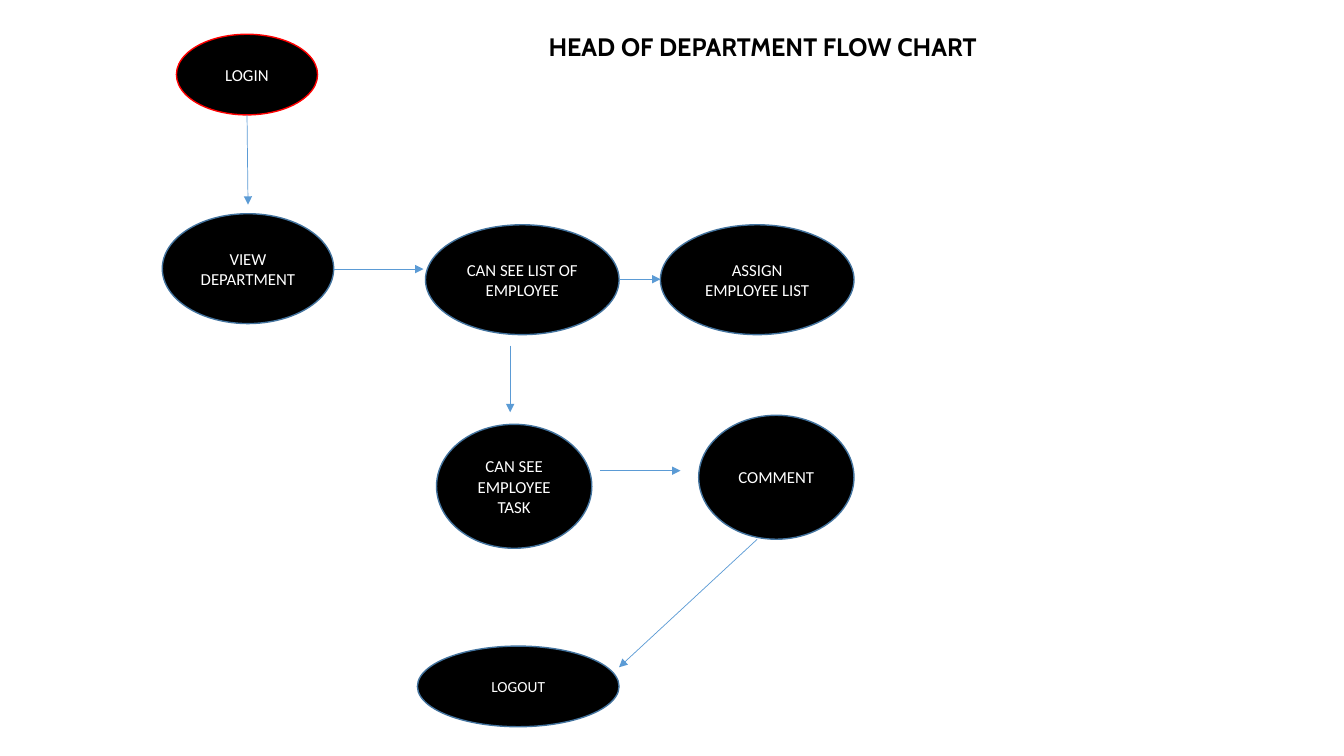
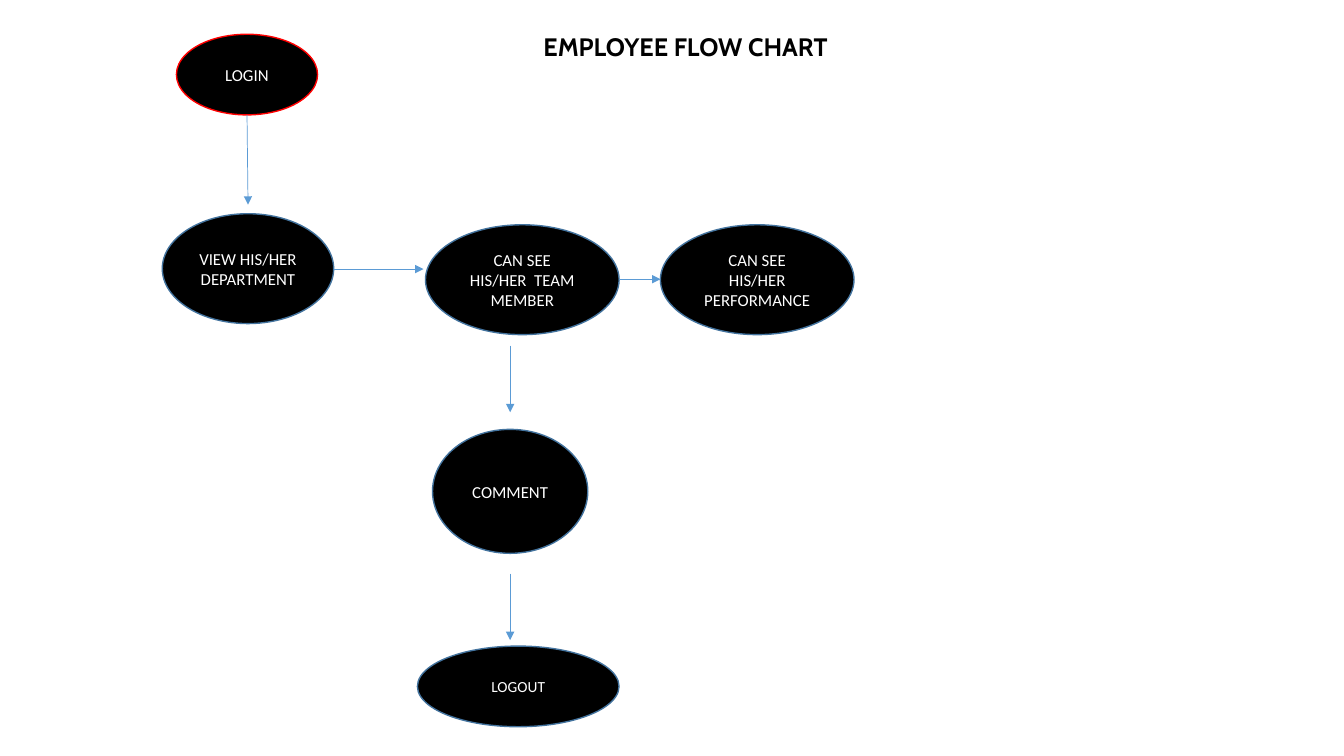
import pptx
import pptx.dml.color
import pptx.enum.shapes
import pptx.enum.text
import pptx.oxml
import pptx.oxml.ns
import pptx.util

PX = 9144  # EMU per px, 100 px to the inch
COLOURS = {
    "black": "000000",
    "white": "FFFFFF",
    "start": "FF0000",
    "outline": "43739E",
    "arrow": "5B9BD5",
}
TITLE_FONT = {"name": "Cabin", "size": pptx.util.Pt(18), "bold": True}
STEP_FONT = {"name": "Calibri", "size": pptx.util.Pt(12), "bold": False}
SMALL_FONT = {**STEP_FONT, "size": pptx.util.Pt(11)}
TITLE_FRAME = {
    "word_wrap": True,
    "auto_size": pptx.enum.text.MSO_AUTO_SIZE.NONE,
    "vertical_anchor": pptx.enum.text.MSO_ANCHOR.TOP,
}
STEP_FRAME = {**TITLE_FRAME, "vertical_anchor": pptx.enum.text.MSO_ANCHOR.MIDDLE}

# Ovals: left, top, width, height
LOGIN = (175, 34, 140, 80)
DEPARTMENT = (161, 212, 170, 109)
TEAM = (422, 223, 192, 109)
RESULT = (655, 223, 192, 109)
LOGOUT = (414, 641, 200, 80)

# Arrows: from x, from y, to x, to y
SHARED_ARROWS = [
    (245, 114, 246, 203),
    (331, 267, 420, 267),
    (614, 277, 655, 277),
    (506, 343, 506, 409),
]

CHARTS = [
    {
        "title": "HEAD OF DEPARTMENT FLOW CHART",
        "title_box": (534, 26, 520, 40),
        "steps": [
            ("VIEW DEPARTMENT", DEPARTMENT),
            ("CAN SEE LIST OF EMPLOYEE", TEAM),
            ("ASSIGN EMPLOYEE LIST", RESULT),
            ("CAN SEE EMPLOYEE TASK", (433, 421, 154, 123)),
            ("COMMENT", (693, 412, 154, 123)),
        ],
        "arrows": [(595, 467, 675, 467), (751, 535, 614, 662)],
    },
    {
        "title": "EMPLOYEE FLOW CHART",
        "title_box": (529, 26, 356, 40),
        "steps": [
            ("VIEW HIS/HER DEPARTMENT", DEPARTMENT),
            ("CAN SEE HIS/HER  TEAM MEMBER", TEAM),
            ("CAN SEE HIS/HER PERFORMANCE", RESULT),
            ("COMMENT", (429, 426, 154, 123)),
        ],
        "arrows": [(506, 569, 506, 635)],
    },
]


def rgb(name):
    return pptx.dml.color.RGBColor.from_string(COLOURS[name])


def write(shape, text, frame_format, font_format, colour, alignment):
    """Put one formatted paragraph into a shape."""
    frame = shape.text_frame
    for attribute, value in frame_format.items():
        setattr(frame, attribute, value)
    paragraph = frame.paragraphs[0]
    paragraph.alignment = alignment
    run = paragraph.add_run()
    run.text = text
    for attribute, value in font_format.items():
        setattr(run.font, attribute, value)
    run.font.color.rgb = rgb(colour)


presentation = pptx.Presentation()
presentation.slide_width = 1333 * PX
presentation.slide_height = 750 * PX
title_only = presentation.slide_layouts.get_by_name("Title Only")

for chart in CHARTS:
    slide = presentation.slides.add_slide(title_only)
    title = slide.shapes.title
    title.left, title.top, title.width, title.height = (n * PX for n in chart["title_box"])
    write(title, chart["title"], TITLE_FRAME, TITLE_FONT, "black",
          pptx.enum.text.PP_ALIGN.LEFT)

    for text, box in [("LOGIN", LOGIN), *chart["steps"], ("LOGOUT", LOGOUT)]:
        oval = slide.shapes.add_shape(
            pptx.enum.shapes.MSO_SHAPE.OVAL, *(n * PX for n in box))
        oval.shadow.inherit = False
        oval.fill.solid()
        oval.fill.fore_color.rgb = rgb("black")
        oval.line.color.rgb = rgb("start" if box == LOGIN else "outline")
        oval.line.width = pptx.util.Pt(1)
        write(oval, text, STEP_FRAME, SMALL_FONT if box == LOGOUT else STEP_FONT,
              "white", pptx.enum.text.PP_ALIGN.CENTER)

    for ends in SHARED_ARROWS + chart["arrows"]:
        arrow = slide.shapes.add_connector(
            pptx.enum.shapes.MSO_CONNECTOR.STRAIGHT, *(n * PX for n in ends))
        arrow.line.color.rgb = rgb("arrow")
        arrow.line.width = pptx.util.Pt(0.5)
        head = pptx.oxml.parse_xml(
            f'<a:tailEnd {pptx.oxml.ns.nsdecls("a")} type="triangle"/>')
        arrow.line._get_or_add_ln().append(head)
        no_shadow = pptx.oxml.parse_xml(f'<a:effectLst {pptx.oxml.ns.nsdecls("a")}/>')
        arrow._element.spPr.append(no_shadow)

presentation.save("out.pptx")
